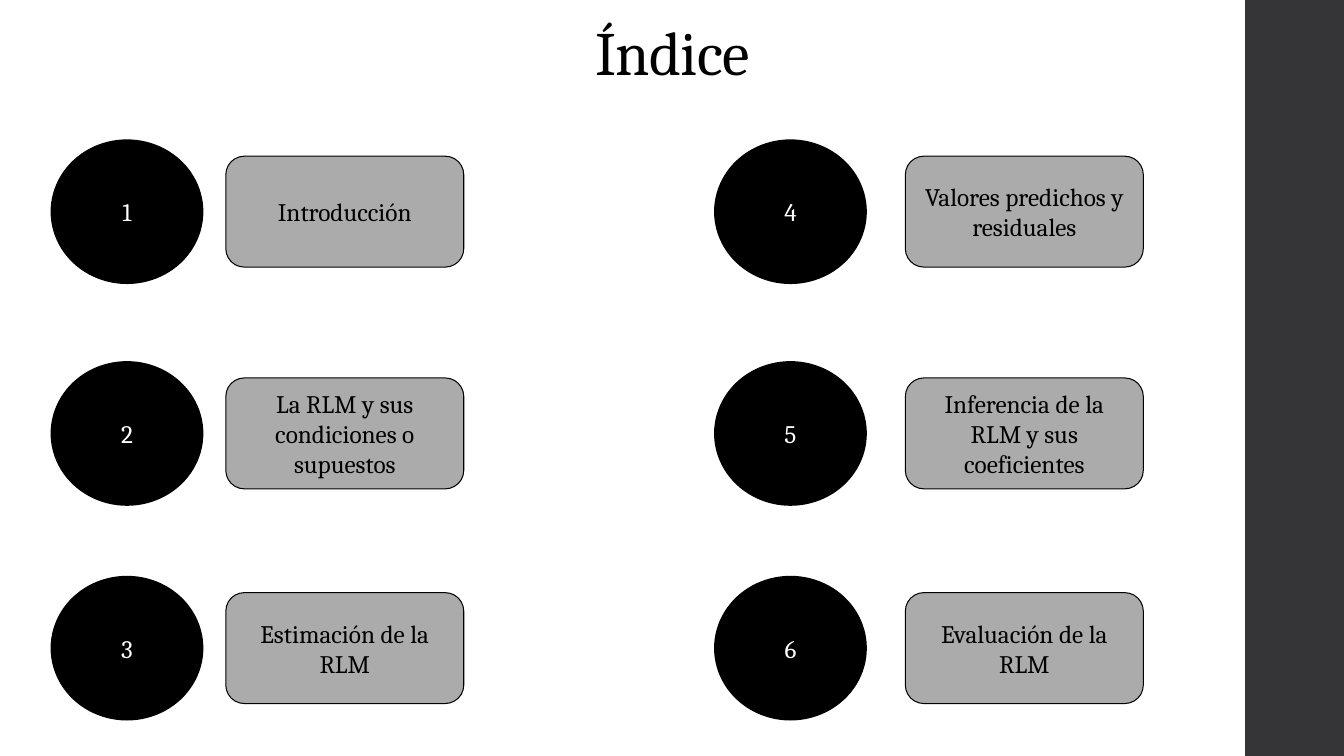
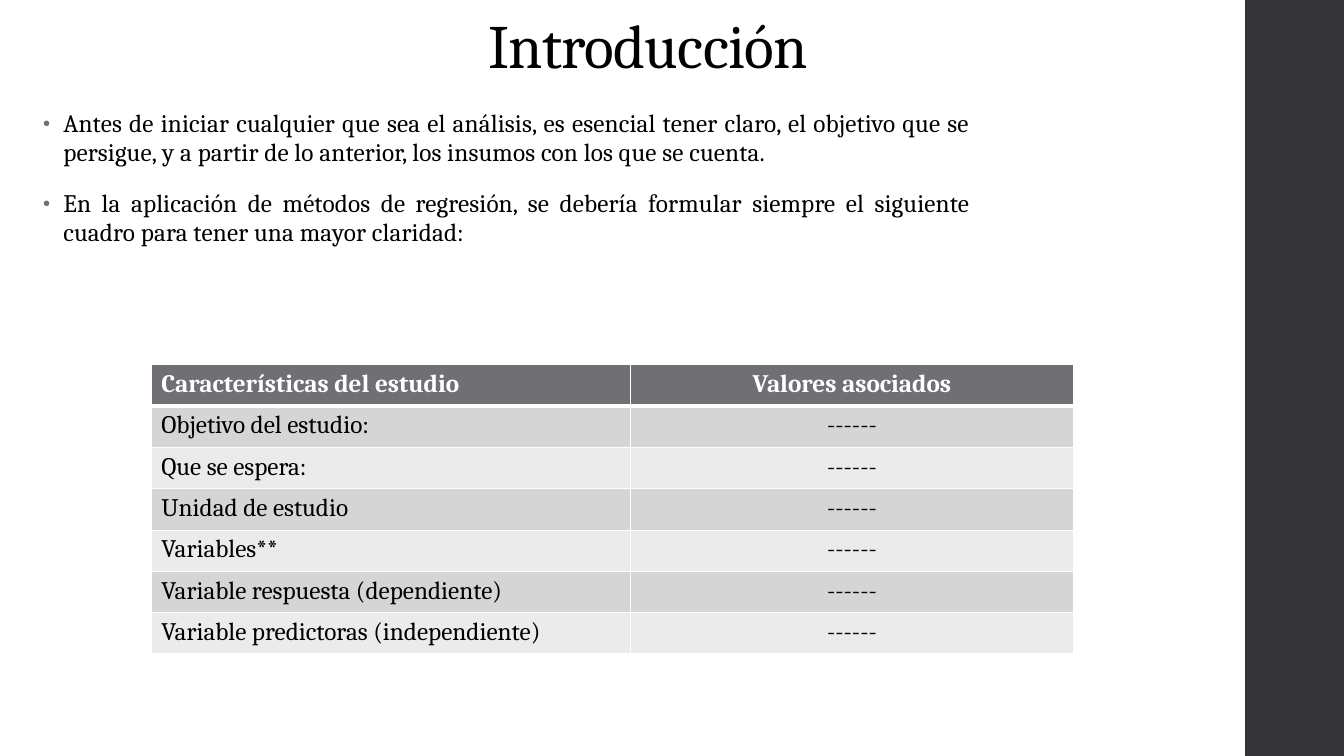
"""Build an index slide and an introduction slide on multiple linear regression."""

import dataclasses

import lxml.etree
import pptx
import pptx.dml.color
import pptx.dml.fill
import pptx.enum.shapes
import pptx.enum.text
import pptx.oxml.ns
import pptx.presentation
import pptx.shapes.autoshape
import pptx.slide
import pptx.table
import pptx.text.text
import pptx.util

EMU_PER_PX = 9144
Align = pptx.enum.text.PP_ALIGN
Anchor = pptx.enum.text.MSO_ANCHOR
Preset = pptx.enum.shapes.MSO_SHAPE


@dataclasses.dataclass(frozen=True)
class Theme:
    font: str = "Cambria"
    title_size: int = 44
    text_size: int = 18
    ink: str = "000000"
    paper: str = "FFFFFF"
    side_band: str = "353537"
    topic: str = "ABABAB"
    accent: str = "6F6F74"
    row_fills: tuple[str, str] = ("D5D5D6", "EBEBEB")


@dataclasses.dataclass(frozen=True)
class Box:
    left: int
    top: int
    width: int
    height: int

    def emu(self) -> tuple[int, int, int, int]:
        return tuple(value * EMU_PER_PX for value in dataclasses.astuple(self))


@dataclasses.dataclass(frozen=True)
class IndexEntry:
    number: int
    topic: str
    number_left: int
    topic_left: int
    top: int


THEME = Theme()
SLIDE = Box(0, 0, 1333, 750)
SIDE_BAND = Box(1235, 0, 98, 750)

INDEX_COLUMNS = ((51, 224), (709, 898))
INDEX_TOPS = (139, 359, 572)
NUMBER_WIDTH, NUMBER_HEIGHT = 150, 142
TOPIC_WIDTH, TOPIC_HEIGHT = 236, 110
TOPICS = (
    "Introducción",
    "La RLM y sus condiciones o supuestos",
    "Estimación de la RLM",
    "Valores predichos y residuales",
    "Inferencia de la RLM y sus coeficientes",
    "Evaluación de la RLM",
)

INTRODUCTION = (
    "Antes de iniciar cualquier que sea el análisis, es esencial tener claro, "
    "el objetivo que se persigue, y a partir de lo anterior, los insumos con los que se cuenta.",
    "En la aplicación de métodos de regresión, se debería formular siempre "
    "el siguiente cuadro para tener una mayor claridad:",
)
STUDY_HEADER = ("Características del estudio", "Valores asociados")
STUDY_FEATURES = (
    "Objetivo del estudio:",
    "Que se espera:",
    "Unidad de estudio",
    "Variables**",
    "Variable respuesta (dependiente)",
    "Variable predictoras (independiente)",
)
PENDING_VALUE = "------"
STUDY_COLUMNS = (475, 440)
STUDY_ROW_HEIGHT = 41


def rgb(code: str) -> pptx.dml.color.RGBColor:
    return pptx.dml.color.RGBColor.from_string(code)


def paint(fill: pptx.dml.fill.FillFormat, color: str) -> None:
    fill.solid()
    fill.fore_color.rgb = rgb(color)


def format_paragraph(
    paragraph: pptx.text.text._Paragraph,
    color: str = THEME.ink,
    align: Align = Align.CENTER,
    size: int = THEME.text_size,
    bold: bool = False,
    tracking: int = 0,
) -> None:
    paragraph.alignment = align
    for run in paragraph.runs:
        run.font.name = THEME.font
        run.font.size = pptx.util.Pt(size)
        run.font.bold = bold
        run.font.color.rgb = rgb(color)
        if tracking:
            run._r.get_or_add_rPr().set("spc", str(tracking))


def add_block(
    slide: pptx.slide.Slide, preset: Preset, box: Box, fill: str
) -> pptx.shapes.autoshape.Shape:
    block = slide.shapes.add_shape(preset, *box.emu())
    block.shadow.inherit = False
    paint(block.fill, fill)
    block.line.fill.background()
    return block


def add_label(
    slide: pptx.slide.Slide,
    preset: Preset,
    box: Box,
    text: str,
    fill: str,
    color: str,
    line_width: float,
) -> None:
    label = add_block(slide, preset, box, fill)
    label.line.color.rgb = rgb(THEME.ink)
    label.line.width = pptx.util.Pt(line_width)
    label.text_frame.word_wrap = True
    label.text_frame.vertical_anchor = Anchor.MIDDLE
    label.text_frame.text = text
    format_paragraph(label.text_frame.paragraphs[0], color)


def add_titled_slide(
    deck: pptx.presentation.Presentation, text: str, box: Box
) -> pptx.slide.Slide:
    slide = deck.slides.add_slide(deck.slide_layouts.get_by_name("Title Only"))
    paint(slide.background.fill, THEME.paper)
    add_block(slide, Preset.RECTANGLE, SIDE_BAND, THEME.side_band)
    title = slide.shapes.title
    title.left, title.top, title.width, title.height = box.emu()
    frame = title.text_frame
    frame.text = text
    frame.word_wrap = True
    frame.auto_size = pptx.enum.text.MSO_AUTO_SIZE.NONE
    frame.vertical_anchor = Anchor.BOTTOM
    heading = frame.paragraphs[0]
    heading.line_spacing = 0.9
    format_paragraph(heading, size=THEME.title_size, tracking=-50)
    return slide


def add_element(
    parent: lxml.etree._Element, tag: str, **attributes: str
) -> lxml.etree._Element:
    return lxml.etree.SubElement(parent, pptx.oxml.ns.qn(tag), attributes)


def add_bullet(paragraph: pptx.text.text._Paragraph) -> None:
    properties = paragraph._p.get_or_add_pPr()
    indent = 20 * EMU_PER_PX
    properties.set("marL", str(indent))
    properties.set("indent", str(-indent))
    add_element(add_element(properties, "a:buClr"), "a:srgbClr", val=THEME.accent)
    add_element(properties, "a:buSzPct", val="80000")
    add_element(properties, "a:buFont", typeface="Arial")
    add_element(properties, "a:buChar", char="•")


def add_bullets(slide: pptx.slide.Slide, box: Box, texts: tuple[str, ...]) -> None:
    frame = slide.shapes.add_textbox(*box.emu()).text_frame
    frame.word_wrap = True
    frame.text = "\n".join(texts)
    for paragraph in frame.paragraphs:
        paragraph.line_spacing = 0.95
        paragraph.space_before = pptx.util.Pt(14)
        paragraph.space_after = pptx.util.Pt(2)
        format_paragraph(paragraph, align=Align.JUSTIFY, tracking=10)
        add_bullet(paragraph)


def set_borders(cell: pptx.table._Cell, top: int, bottom: int) -> None:
    properties = cell._tc.get_or_add_tcPr()
    for side, points in (("L", 1), ("R", 1), ("T", top), ("B", bottom)):
        border = add_element(properties, f"a:ln{side}", w=str(pptx.util.Pt(points)))
        add_element(add_element(border, "a:solidFill"), "a:srgbClr", val=THEME.paper)


def add_study_table(slide: pptx.slide.Slide, left: int, top: int) -> None:
    rows = (STUDY_HEADER, *((feature, PENDING_VALUE) for feature in STUDY_FEATURES))
    box = Box(left, top, sum(STUDY_COLUMNS), STUDY_ROW_HEIGHT * len(rows))
    study = slide.shapes.add_table(len(rows), len(STUDY_COLUMNS), *box.emu()).table
    for column, width in zip(study.columns, STUDY_COLUMNS):
        column.width = width * EMU_PER_PX
    for row_index, texts in enumerate(rows):
        header = row_index == 0
        fill = THEME.accent if header else THEME.row_fills[(row_index - 1) % 2]
        for column_index, text in enumerate(texts):
            cell = study.cell(row_index, column_index)
            cell.text_frame.text = text
            format_paragraph(
                cell.text_frame.paragraphs[0],
                color=THEME.paper if header else THEME.ink,
                align=Align.CENTER if column_index else Align.LEFT,
                bold=header,
            )
            set_borders(cell, top=3 if row_index == 1 else 1, bottom=3 if header else 1)
            paint(cell.fill, fill)


def index_entries() -> list[IndexEntry]:
    entries = []
    for position, topic in enumerate(TOPICS):
        column, row = divmod(position, len(INDEX_TOPS))
        entries.append(
            IndexEntry(position + 1, topic, *INDEX_COLUMNS[column], INDEX_TOPS[row])
        )
    return entries


def add_index_entry(slide: pptx.slide.Slide, entry: IndexEntry) -> None:
    number_box = Box(entry.number_left, entry.top, NUMBER_WIDTH, NUMBER_HEIGHT)
    topic_top = entry.top + (NUMBER_HEIGHT - TOPIC_HEIGHT) // 2
    topic_box = Box(entry.topic_left, topic_top, TOPIC_WIDTH, TOPIC_HEIGHT)
    add_label(
        slide, Preset.OVAL, number_box, str(entry.number), THEME.ink, THEME.paper, 1.1
    )
    add_label(
        slide, Preset.ROUNDED_RECTANGLE, topic_box, entry.topic, THEME.topic, THEME.ink, 0.75
    )


def build_index(deck: pptx.presentation.Presentation) -> None:
    slide = add_titled_slide(deck, "Índice", Box(137, 0, 1060, 93))
    for entry in index_entries():
        add_index_entry(slide, entry)


def build_introduction(deck: pptx.presentation.Presentation) -> None:
    slide = add_titled_slide(deck, "Introducción", Box(113, 9, 1060, 77))
    add_bullets(slide, Box(33, 104, 940, 160), INTRODUCTION)
    add_study_table(slide, 150, 362)


def main() -> None:
    deck = pptx.Presentation()
    deck.slide_width = SLIDE.width * EMU_PER_PX
    deck.slide_height = SLIDE.height * EMU_PER_PX
    build_index(deck)
    build_introduction(deck)
    deck.save("out.pptx")


if __name__ == "__main__":
    main()
